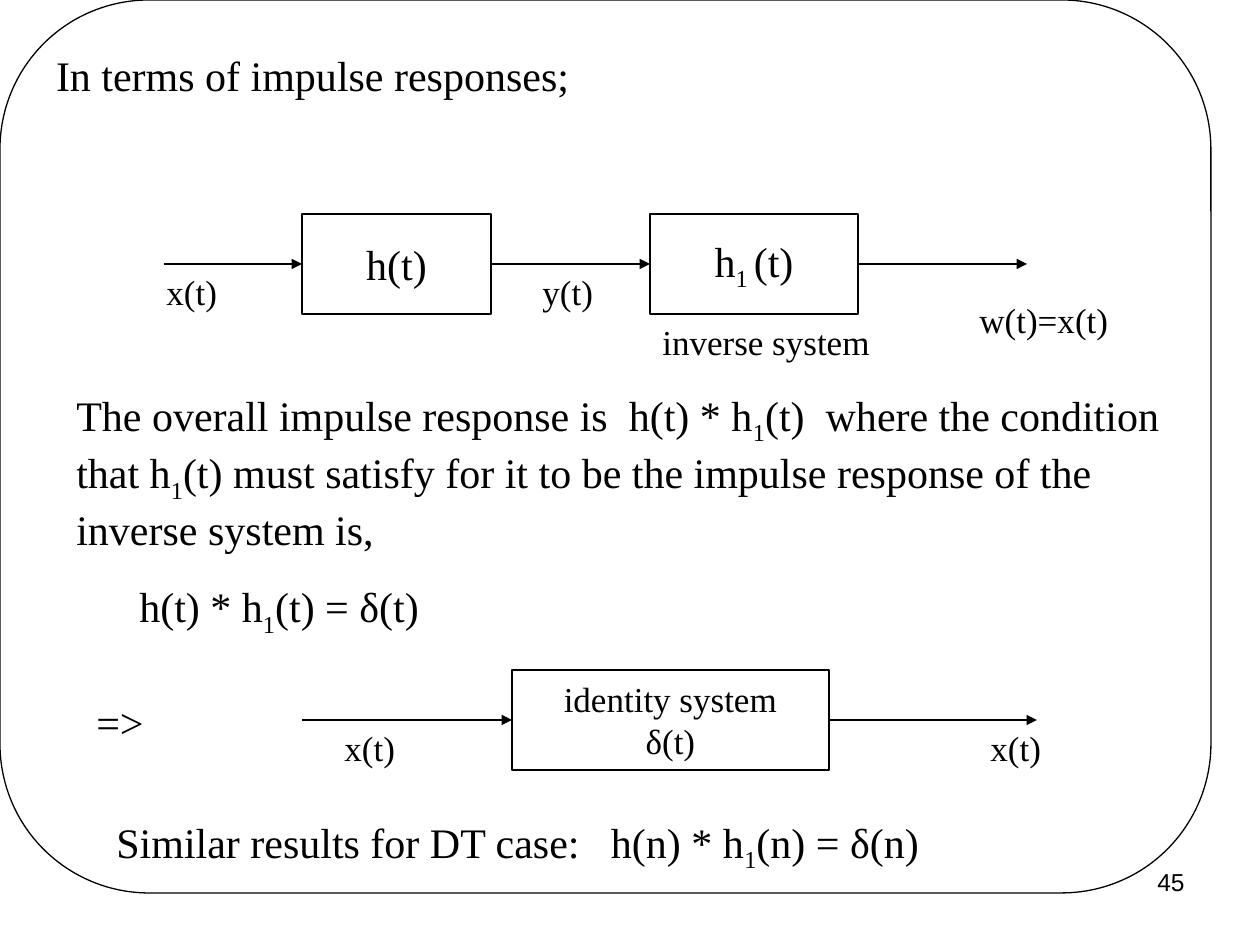
from dataclasses import dataclass
from typing import Optional

from lxml import etree
from pptx import Presentation
from pptx.dml.color import RGBColor
from pptx.enum.shapes import MSO_CONNECTOR, MSO_SHAPE
from pptx.enum.text import MSO_ANCHOR, MSO_AUTO_SIZE, PP_ALIGN
from pptx.oxml.ns import qn
from pptx.util import Emu, Pt

STRAIGHT = MSO_CONNECTOR.STRAIGHT
RECTANGLE, ROUNDED = MSO_SHAPE.RECTANGLE, MSO_SHAPE.ROUNDED_RECTANGLE
LEFT, CENTER, RIGHT = PP_ALIGN.LEFT, PP_ALIGN.CENTER, PP_ALIGN.RIGHT
TOP, MIDDLE = MSO_ANCHOR.TOP, MSO_ANCHOR.MIDDLE
FIT_TEXT = MSO_AUTO_SIZE.SHAPE_TO_FIT_TEXT
LEFT_SIDE, RIGHT_SIDE = 1, 3

PX_PER_INCH = 126
SERIF, SANS = "Times New Roman", "Arial"
BLACK, WHITE = "000000", "FFFFFF"
LINE_WIDTH = 0.75
SUBSCRIPT = "-25000"
BLOCK_HEIGHT = 100
LABEL_HEIGHT = 56


@dataclass
class Block:
    left: int
    top: int
    width: int
    lines: list[str]
    size: int = 24


@dataclass
class Label:
    left: int
    top: int
    width: int
    height: int
    lines: list[str]
    size: int = 24


@dataclass
class Arrow:
    start: int
    end: int
    y: int
    source: Optional[str] = None
    target: Optional[str] = None


# Between bars, text is subscript: "h|1|(t)"
BLOCKS = {
    "system": Block(302, 214, 189, ["h(t)"]),
    "inverse": Block(650, 214, 208, ["h|1 |(t)"]),
    "identity": Block(512, 670, 317, ["identity system", "δ(t)"], 20),
}

ARROWS = [
    Arrow(164, 302, 264, target="system"),
    Arrow(491, 650, 264, source="system", target="inverse"),
    Arrow(858, 1027, 264, source="inverse"),
    Arrow(302, 512, 720, target="identity"),
    Arrow(829, 1037, 720, source="identity"),
]

LABELS = [
    Label(154, 264, 110, LABEL_HEIGHT, ["x(t)"], 20),
    Label(530, 264, 80, LABEL_HEIGHT, ["y(t)"], 20),
    Label(650, 314, 238, LABEL_HEIGHT, ["inverse system"], 20),
    Label(967, 292, 179, LABEL_HEIGHT, ["w(t)=x(t)"], 20),
    Label(64, 383, 1171, 262, [
        "The overall impulse response is  h(t) * h|1|(t)  where the condition "
        "that h|1|(t) must satisfy for it to be the impulse response of the "
        "inverse system is,",
        "\th(t) * h|1|(t) = δ(t)",
    ]),
    Label(84, 690, 100, 63, ["=>"]),
    Label(332, 720, 110, LABEL_HEIGHT, ["x(t)"], 20),
    Label(978, 720, 90, LABEL_HEIGHT, ["x(t)"], 20),
    Label(104, 810, 1032, 147,
          ["Similar results for DT case:   h(n) * h|1|(n) = δ(n)"]),
]


def px(length: int) -> Emu:
    return Emu(round(length * 914400 / PX_PER_INCH))


def color(value: str) -> RGBColor:
    return RGBColor.from_string(value)


def write(shape, lines: list[str], size: int, align=LEFT, anchor=TOP,
          font: str = SERIF, space_before: float = 0) -> None:
    frame = shape.text_frame
    frame.word_wrap = True
    frame.vertical_anchor = anchor
    for index, line in enumerate(lines):
        para = frame.add_paragraph() if index else frame.paragraphs[0]
        para.alignment = align
        para.space_before = Pt(space_before)
        para.font.name = font
        para.font.size = Pt(size)
        para.font.color.rgb = color(BLACK)
        for part, text in enumerate(line.split("|")):
            span = para.add_run()
            span.text = text
            if part % 2:
                span.font._element.set("baseline", SUBSCRIPT)


def add_box(slide, preset, left: int, top: int, width: int, height: int):
    box = slide.shapes.add_shape(preset, px(left), px(top), px(width), px(height))
    box.shadow.inherit = False
    box.fill.solid()
    box.fill.fore_color.rgb = color(WHITE)
    box.line.color.rgb = color(BLACK)
    box.line.width = Pt(LINE_WIDTH)
    return box


def add_block(slide, block: Block):
    box = add_box(slide, RECTANGLE, block.left, block.top, block.width, BLOCK_HEIGHT)
    write(box, block.lines, block.size, CENTER, MIDDLE)
    return box


def add_label(slide, label: Label) -> None:
    box = slide.shapes.add_textbox(
        px(label.left), px(label.top), px(label.width), px(label.height))
    write(box, label.lines, label.size, space_before=label.size * 5 / 8)
    box.text_frame.auto_size = FIT_TEXT


def add_arrow(slide, arrow: Arrow, boxes: dict) -> None:
    line = slide.shapes.add_connector(
        STRAIGHT, px(arrow.start), px(arrow.y), px(arrow.end), px(arrow.y))
    line.line.color.rgb = color(BLACK)
    line.line.width = Pt(LINE_WIDTH)
    if arrow.source:
        line.begin_connect(boxes[arrow.source], RIGHT_SIDE)
    if arrow.target:
        line.end_connect(boxes[arrow.target], LEFT_SIDE)
    properties = line._element.spPr
    etree.SubElement(properties.find(qn("a:ln")), qn("a:tailEnd"), type="triangle")
    etree.SubElement(properties, qn("a:effectLst"))


def main() -> None:
    deck = Presentation()
    deck.slide_width, deck.slide_height = px(1260), px(945)
    page = deck.slides.add_slide(deck.slide_layouts[6])

    # Rounded frame with the heading
    frame = add_box(page, ROUNDED, 0, 0, 1211, 893)
    frame.adjustments[0] = 0.167
    write(frame, ["In terms of impulse responses;"], 24)

    # Block diagrams
    boxes = {name: add_block(page, block) for name, block in BLOCKS.items()}
    for arrow in ARROWS:
        add_arrow(page, arrow, boxes)

    # Signal names and explanations
    for label in LABELS:
        add_label(page, label)

    # Page number
    number = page.shapes.add_textbox(px(903), px(861), px(294), px(66))
    write(number, ["45"], 14, RIGHT, font=SANS)

    deck.save("out.pptx")


if __name__ == "__main__":
    main()
